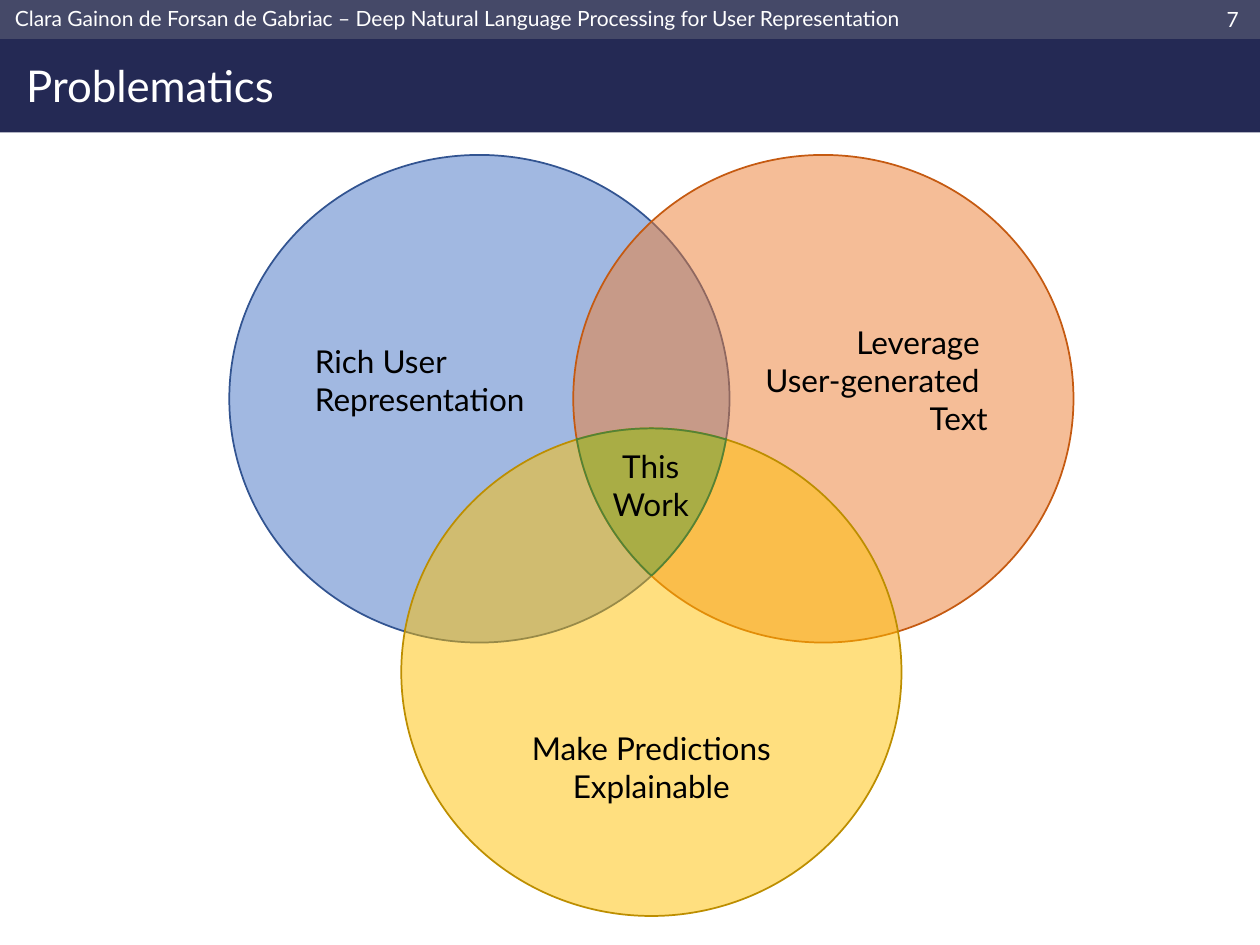
from math import atan2, cos, pi, sin

from lxml import etree
from pptx import Presentation
from pptx.dml.color import RGBColor
from pptx.enum.shapes import MSO_SHAPE
from pptx.enum.text import MSO_ANCHOR, PP_ALIGN
from pptx.oxml.ns import qn
from pptx.util import Inches, Pt

RECTANGLE, OVAL = MSO_SHAPE.RECTANGLE, MSO_SHAPE.OVAL
LEFT, CENTER, RIGHT = PP_ALIGN.LEFT, PP_ALIGN.CENTER, PP_ALIGN.RIGHT
TOP, MIDDLE = MSO_ANCHOR.TOP, MSO_ANCHOR.MIDDLE

FONT = "Lato"
WHITE = RGBColor(0xFF, 0xFF, 0xFF)
BLACK = RGBColor(0x00, 0x00, 0x00)
NAVY = RGBColor(0x24, 0x29, 0x54)
SLATE = RGBColor(0x45, 0x49, 0x68)
BLUE = RGBColor(0x44, 0x72, 0xC4)
DARK_BLUE = RGBColor(0x32, 0x54, 0x91)
ORANGE = RGBColor(0xED, 0x7D, 0x31)
DARK_ORANGE = RGBColor(0xC5, 0x5A, 0x11)
GOLD = RGBColor(0xFF, 0xC0, 0x00)
DARK_GOLD = RGBColor(0xBD, 0x8E, 0x00)
GREEN = RGBColor(0x70, 0xAD, 0x47)
DARK_GREEN = RGBColor(0x54, 0x82, 0x35)

CIRCLE_WIDTH, CIRCLE_HEIGHT = 3.97, 3.87
ARC_STEPS = 24


def write(shape, lines, size, color, align=LEFT, anchor=MIDDLE, spacing=None):
    """Write one paragraph per line into a shape."""
    frame = shape.text_frame
    frame.word_wrap = True
    frame.vertical_anchor = anchor
    for index, line in enumerate(lines):
        para = frame.add_paragraph() if index else frame.paragraphs[0]
        para.alignment = align
        para.line_spacing = spacing
        span = para.add_run()
        span.text = line
        span.font.name = FONT
        span.font.size = Pt(size)
        span.font.color.rgb = color


def add_text(shapes, box, lines, size, color, **style):
    """Add a text box at the given left, top, width and height."""
    label = shapes.add_textbox(*map(Inches, box))
    write(label, lines, size, color, **style)


def add_band(page, box, color):
    """Add a plain filled rectangle."""
    band = page.shapes.add_shape(RECTANGLE, *map(Inches, box))
    band.shadow.inherit = False
    band.fill.solid()
    band.fill.fore_color.rgb = color
    band.line.fill.background()


def paint_translucent(shape, fill, line):
    """Give a shape a half transparent fill and a thin outline."""
    shape.shadow.inherit = False
    shape.fill.solid()
    shape.fill.fore_color.rgb = fill
    color = shape.fill._xPr.find(qn("a:solidFill"))[0]
    etree.SubElement(color, qn("a:alpha")).set("val", "50000")
    shape.line.color.rgb = line
    shape.line.width = Pt(1)


def add_header(page, box):
    """Build the running head, page number and title."""
    left, top, width, height = box
    add_band(page, box, NAVY)
    add_band(page, (left, top, width, 0.31), SLATE)
    running_head = ("Clara Gainon de Forsan de Gabriac – "
                    "Deep Natural Language Processing for User Representation")
    add_text(page.shapes, (left + 0.02, top - 0.06, 8.27, 0.41), [running_head], 12, WHITE)
    add_text(page.shapes, (left + 0.11, top + 0.33, 8.32, 0.74), ["Problematics"], 25, WHITE,
             spacing=0.9)
    add_text(page.shapes, (left + width - 0.59, top - 0.06, 0.52, 0.42), ["7"], 12, WHITE,
             align=RIGHT)


def add_circle(page, corner, fill, line, lines, align, inset_top=0.05, inset_bottom=0.05):
    """Add one labelled circle of the Venn diagram."""
    box = (*corner, CIRCLE_WIDTH, CIRCLE_HEIGHT)
    circle = page.shapes.add_shape(OVAL, *map(Inches, box))
    paint_translucent(circle, fill, line)
    circle.text_frame.margin_top = Inches(inset_top)
    circle.text_frame.margin_bottom = Inches(inset_bottom)
    write(circle, lines, 18, BLACK, align=align)


def arc_points(corner, start, end):
    """Return points along a circle's shorter arc between two points."""
    radius_x, radius_y = CIRCLE_WIDTH / 2, CIRCLE_HEIGHT / 2
    center_x, center_y = corner[0] + radius_x, corner[1] + radius_y
    first, last = (atan2((y - center_y) / radius_y, (x - center_x) / radius_x)
                   for x, y in (start, end))
    sweep = (last - first + pi) % (2 * pi) - pi
    angles = (first + sweep * step / ARC_STEPS for step in range(ARC_STEPS + 1))
    return [(Inches(center_x + radius_x * cos(angle)), Inches(center_y + radius_y * sin(angle)))
            for angle in angles]


def add_core(page, blue, orange, gold, box):
    """Add the region shared by the three circles, with its label."""
    left, top, width, height = box
    left_tip, right_tip = (left, top + 0.08), (left + width, top + 0.08)
    bottom_tip = (left + width / 2, top + height)
    points = (arc_points(gold, left_tip, right_tip)
              + arc_points(blue, right_tip, bottom_tip)
              + arc_points(orange, bottom_tip, left_tip))
    group = page.shapes.add_group_shape()
    builder = group.shapes.build_freeform(*points[0])
    builder.add_line_segments(points[1:], close=True)
    paint_translucent(builder.convert_to_shape(), GREEN, DARK_GREEN)
    add_text(group.shapes, (left - 0.05, top + 0.1, width + 0.09, 0.71), ["This", "Work"],
             18, BLACK, align=CENTER, anchor=TOP)


def add_venn(page, box):
    """Build the three overlapping circles and their shared core."""
    left, top, width, height = box
    blue = (left, top)
    orange = (left + width - CIRCLE_WIDTH, top)
    gold = (left + (width - CIRCLE_WIDTH) / 2, top + height - CIRCLE_HEIGHT)
    add_circle(page, blue, BLUE, DARK_BLUE, ["Rich User", "Representation"], LEFT,
               inset_bottom=0.35)
    add_circle(page, orange, ORANGE, DARK_ORANGE, ["Leverage ", "User-generated ", "Text"],
               RIGHT, inset_bottom=0.35)
    add_circle(page, gold, GOLD, DARK_GOLD, ["Make Predictions Explainable"], CENTER,
               inset_top=1.55)
    add_core(page, blue, orange, gold, (left + width / 2 - 0.59, gold[1], 1.18, 1.17))


def main():
    """Build and save the deck."""
    deck = Presentation()
    deck.slide_width, deck.slide_height = Inches(10), Inches(7.5)
    page = deck.slides.add_slide(deck.slide_layouts[6])
    add_header(page, (0, 0, 10, 1.05))
    add_venn(page, (1.82, 1.23, 6.7, 6.04))
    deck.save("out.pptx")


if __name__ == "__main__":
    main()
